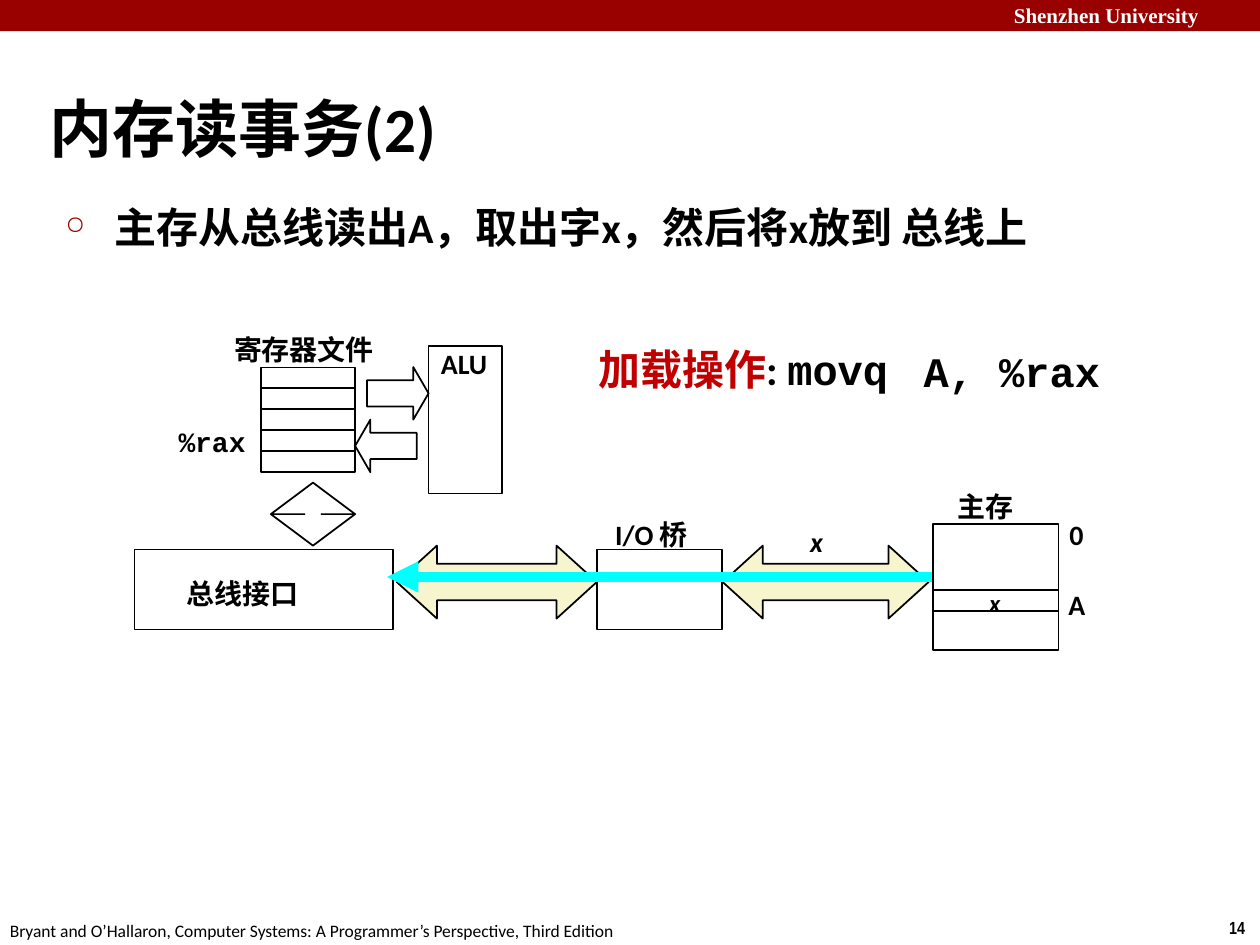
import pptx
import pptx.util
import pptx.dml.color
import pptx.enum.shapes
import pptx.enum.text
import pptx.oxml.ns
import lxml.etree

Cm = pptx.util.Cm
Pt = pptx.util.Pt
RGBColor = pptx.dml.color.RGBColor
SHAPE = pptx.enum.shapes.MSO_SHAPE
ANCHOR = pptx.enum.text.MSO_ANCHOR

BLACK = RGBColor(0x00, 0x00, 0x00)
WHITE = RGBColor(0xFF, 0xFF, 0xFF)
CRIMSON = RGBColor(0x99, 0x00, 0x00)
RED = RGBColor(0xC0, 0x00, 0x00)
CREAM = RGBColor(0xF7, 0xF5, 0xCD)
CYAN = RGBColor(0x00, 0xFF, 0xFF)

SANS = "Calibri"
MONO = "Courier New"


def add_element(parent, tag, **attributes):
    element = lxml.etree.SubElement(parent, pptx.oxml.ns.qn(tag))
    for name, value in attributes.items():
        element.set(name, value)
    return element


def add_span(para, text, size=16, font=SANS, color=BLACK, bold=True, italic=False):
    span = para.add_run()
    span.text = text
    span.font.size = Pt(size)
    span.font.name = font
    span.font.color.rgb = color
    span.font.bold = bold
    span.font.italic = italic


def set_frame(box, insets=(0, 0, 0, 0), anchor=ANCHOR.TOP, wrap=True):
    frame = box.text_frame
    frame.margin_left, frame.margin_top, frame.margin_right, frame.margin_bottom = map(Cm, insets)
    frame.vertical_anchor = anchor
    frame.word_wrap = wrap
    para = frame.paragraphs[0]
    para.alignment = pptx.enum.text.PP_ALIGN.LEFT
    return para


def add_text(page, text, left, top, width, height, insets=(0, 0, 0, 0),
             anchor=ANCHOR.TOP, wrap=True, **style):
    box = page.shapes.add_textbox(Cm(left), Cm(top), Cm(width), Cm(height))
    para = set_frame(box, insets, anchor, wrap)
    add_span(para, text, **style)
    return para


def add_bullet(para, symbol, color, percent, indent):
    properties = para._p.get_or_add_pPr()
    properties.set("marL", str(Cm(indent)))
    properties.set("indent", str(-Cm(indent)))
    add_element(add_element(properties, "a:buClr"), "a:srgbClr", val=str(color))
    add_element(properties, "a:buSzPct", val=str(percent * 1000))
    add_element(properties, "a:buChar", char=symbol)


def add_outline(page, preset, left, top, width, height, fill=None, line=BLACK, adjustments=()):
    shape = page.shapes.add_shape(preset, Cm(left), Cm(top), Cm(width), Cm(height))
    shape.shadow.inherit = False
    if fill is None:
        shape.fill.background()
    else:
        shape.fill.solid()
        shape.fill.fore_color.rgb = fill
    if line is None:
        shape.line.fill.background()
    else:
        shape.line.color.rgb = line
        shape.line.width = Pt(1)
    for index, value in enumerate(adjustments):
        shape.adjustments[index] = value
    return shape


def add_data_arrow(page, start, end, height):
    arrow = page.shapes.add_connector(
        pptx.enum.shapes.MSO_CONNECTOR.STRAIGHT, Cm(start), Cm(height), Cm(end), Cm(height))
    arrow.line.color.rgb = CYAN
    arrow.line.width = Pt(6)
    add_element(arrow.line._get_or_add_ln(), "a:tailEnd", type="triangle", w="med", len="med")
    add_element(arrow._element.spPr, "a:effectLst")


def add_page_furniture(page):
    default_insets = (0.25, 0.13, 0.25, 0.13)
    add_outline(page, SHAPE.RECTANGLE, 0, 0, 25.4, 0.63, fill=CRIMSON, line=None)
    add_text(page, "Shenzhen University", 20.19, -0.08, 5.2, 0.77, insets=default_insets,
             size=12, font="Times New Roman", color=WHITE)
    add_text(page, "14", 24.53, 18.36, 0.87, 0.68, insets=default_insets, wrap=False,
             size=10, font="Arial Narrow")
    add_text(page, "Bryant and O’Hallaron, Computer Systems: A Programmer’s Perspective, Third Edition",
             -0.05, 18.42, 12.93, 0.68, insets=default_insets, wrap=False, size=10, bold=False)


def add_heading(page):
    add_text(page, "内存读事务(2)", 1, 1.19, 21.08, 2.16, insets=(0, 0.61, 0, 0),
             anchor=ANCHOR.MIDDLE, size=36)
    para = add_text(page, "主存从总线读出A，取出字x，然后将x放到 总线上",
                    1.32, 4.06, 20.22, 1.02, size=24)
    add_bullet(para, "○", CRIMSON, 60, 0.98)
    para = add_text(page, "加载操作", 12.06, 6.93, 7.42, 1.02, size=24, color=RED)
    add_span(para, ": ", size=24)
    add_span(para, "movq", size=24, font=MONO)
    add_text(page, "A, %rax", 18.62, 6.96, 4.2, 1.02, size=24, font=MONO)


def add_processor(page):
    row_height = 0.42
    for row in range(5):
        add_outline(page, SHAPE.RECTANGLE, 5.26, 7.41 + row * row_height, 1.9, row_height)
    add_outline(page, SHAPE.RIGHT_ARROW, 7.4, 7.4, 1.24, 1.06, adjustments=(0.5, 0.29))
    add_outline(page, SHAPE.LEFT_ARROW, 7.16, 8.46, 1.24, 1.06, adjustments=(0.5, 0.29))
    add_outline(page, SHAPE.UP_DOWN_ARROW, 5.46, 9.73, 1.7, 1.27, adjustments=(0.5, 0.2))
    alu = add_outline(page, SHAPE.RECTANGLE, 8.64, 6.98, 1.48, 2.97)
    add_span(set_frame(alu, insets=(0.25, 0, 0, 0)), "ALU")
    add_outline(page, SHAPE.RECTANGLE, 2.71, 11.08, 5.21, 1.61)


def add_buses_and_memory(page):
    for left, width in ((8, 4.03), (14.57, 4.15)):
        add_outline(page, SHAPE.LEFT_RIGHT_ARROW, left, 11, width, 1.47, fill=CREAM,
                    adjustments=(0.5, 0.55))
    add_outline(page, SHAPE.RECTANGLE, 12.04, 11.08, 2.52, 1.61)
    add_data_arrow(page, 18.8, 7.8, 11.63)
    add_outline(page, SHAPE.RECTANGLE, 18.81, 10.57, 2.53, 2.54)
    add_outline(page, SHAPE.RECTANGLE, 18.81, 11.89, 2.53, 0.43)


def add_labels(page):
    labels = (
        ("寄存器文件", 4.72, 6.71, 3.1, {}),
        ("%rax", 3.6, 8.56, 1.45, {"font": MONO}),
        ("总线接口", 3.76, 11.63, 3.12, {}),
        ("I/O 桥", 12.4, 10.44, 1.83, {}),
        ("主存", 19.3, 9.86, 1.55, {}),
        ("0", 21.56, 10.44, 0.4, {}),
        ("A", 21.54, 11.84, 0.45, {}),
        ("x", 16.33, 10.57, 0.4, {"italic": True}),
        ("x", 19.94, 11.86, 0.4, {"italic": True, "size": 14}),
    )
    for text, left, top, width, style in labels:
        add_text(page, text, left, top, width, 0.65, **style)


def main():
    deck = pptx.Presentation()
    deck.slide_width = Cm(25.4)
    deck.slide_height = Cm(19.05)
    page = deck.slides.add_slide(deck.slide_layouts[6])
    add_page_furniture(page)
    add_heading(page)
    add_processor(page)
    add_buses_and_memory(page)
    add_labels(page)
    deck.save("out.pptx")


if __name__ == "__main__":
    main()
